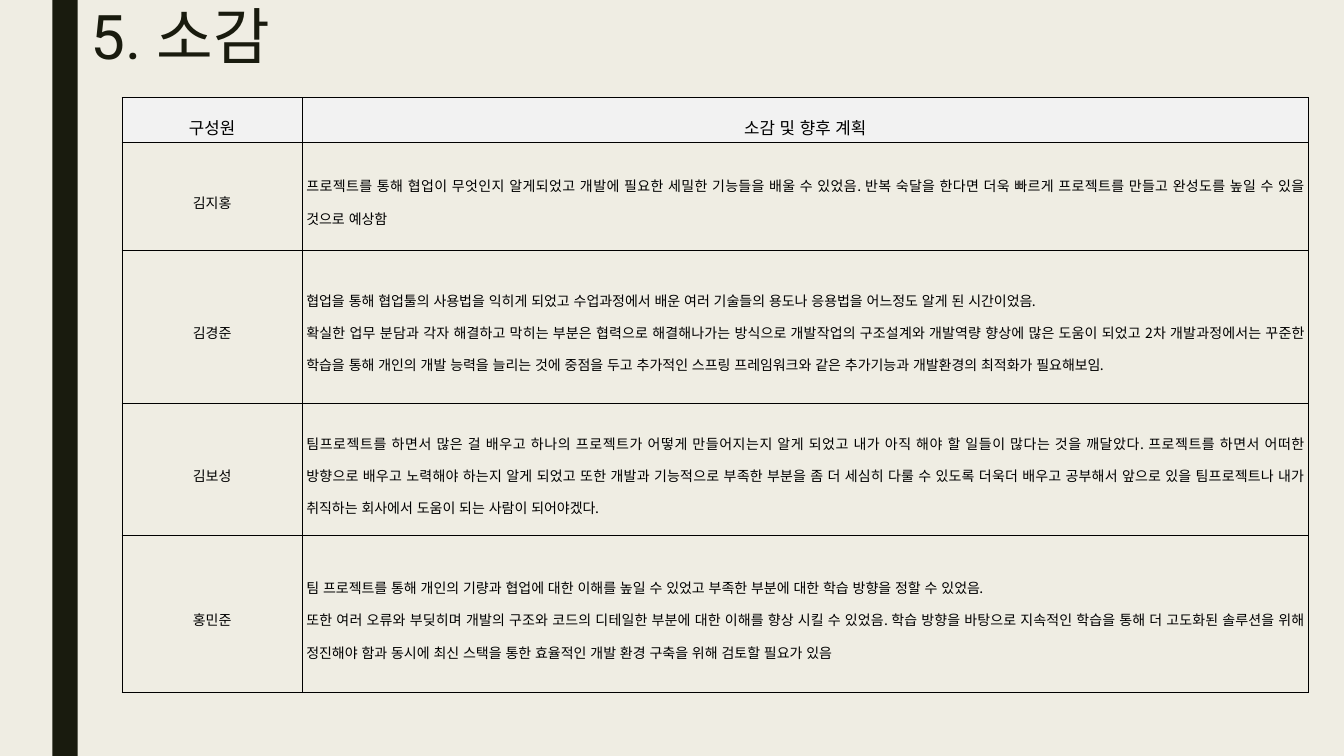
"""Build the closing slide with each team member's reflections."""
from lxml import etree
from pptx import Presentation
from pptx.dml.color import RGBColor
from pptx.enum.lang import MSO_LANGUAGE_ID
from pptx.enum.shapes import MSO_SHAPE
from pptx.enum.text import MSO_ANCHOR, PP_ALIGN
from pptx.oxml.ns import qn
from pptx.util import Cm, Pt

RECTANGLE = MSO_SHAPE.RECTANGLE
MIDDLE = MSO_ANCHOR.MIDDLE
CENTER = PP_ALIGN.CENTER
JUSTIFY = PP_ALIGN.JUSTIFY
KOREAN = MSO_LANGUAGE_ID.KOREAN
KOREAN_FONT = "Noto Sans CJK KR"
INK = "191B0E"
BORDER_WIDTH = Pt(0.28)

ROWS = [
    (1.12, "구성원", "소감 및 향후 계획"),
    (2.72, "김지홍",
     "프로젝트를 통해 협업이 무엇인지 알게되었고 개발에 필요한 세밀한 기능들을 배울 수 있었음. "
     "반복 숙달을 한다면 더욱 빠르게 프로젝트를 만들고 완성도를 높일 수 있을 것으로 예상함"),
    (3.86, "김경준",
     "협업을 통해 협업툴의 사용법을 익히게 되었고 수업과정에서 배운 여러 기술들의 용도나 "
     "응용법을 어느정도 알게 된 시간이었음. \n"
     "확실한 업무 분담과 각자 해결하고 막히는 부분은 협력으로 해결해나가는 방식으로 "
     "개발작업의 구조설계와 개발역량 향상에 많은 도움이 되었고 2차 개발과정에서는 꾸준한 "
     "학습을 통해 개인의 개발 능력을 늘리는 것에 중점을 두고 추가적인 스프링 프레임워크와 "
     "같은 추가기능과 개발환경의 최적화가 필요해보임."),
    (3.33, "김보성",
     "팀프로젝트를 하면서 많은 걸 배우고 하나의 프로젝트가 어떻게 만들어지는지 알게 되었고 "
     "내가 아직 해야 할 일들이 많다는 것을 깨달았다. 프로젝트를 하면서 어떠한 방향으로 "
     "배우고 노력해야 하는지 알게 되었고 또한 개발과 기능적으로 부족한 부분을 좀 더 세심히 "
     "다룰 수 있도록 더욱더 배우고 공부해서 앞으로 있을 팀프로젝트나 내가 취직하는 회사에서 "
     "도움이 되는 사람이 되어야겠다."),
    (3.96, "홍민준",
     "팀 프로젝트를 통해 개인의 기량과 협업에 대한 이해를 높일 수 있었고 부족한 부분에 대한 "
     "학습 방향을 정할 수 있었음.\n"
     "또한 여러 오류와 부딪히며 개발의 구조와 코드의 디테일한 부분에 대한 이해를 향상 시킬 수 "
     "있었음. 학습 방향을 바탕으로 지속적인 학습을 통해 더 고도화된 솔루션을 위해 정진해야 "
     "함과 동시에 최신 스택을 통한 효율적인 개발 환경 구축을 위해 검토할 필요가 있음"),
]
COLUMN_WIDTHS = [4.55, 25.35]


def color(value):
    """Turn a hex string into a colour."""
    return RGBColor.from_string(value)


def style_paragraph(para, size, latin, ink, spacing):
    """Set line spacing and the Latin and Korean fonts of a paragraph."""
    para.line_spacing = spacing
    for span in para.runs:
        span.font.size = Pt(size)
        span.font.name = latin
        span.font.language_id = KOREAN
        span.font.color.rgb = color(ink)
        korean = etree.Element(qn("a:ea"), typeface=KOREAN_FONT)
        span.font._element.find(qn("a:latin")).addnext(korean)


deck = Presentation()
deck.slide_width = Cm(33.87)
deck.slide_height = Cm(19.05)
page = deck.slides.add_slide(deck.slide_layouts[6])
page.background.fill.solid()
page.background.fill.fore_color.rgb = color("EFEDE3")

side_bar = page.shapes.add_shape(RECTANGLE, Cm(1.32), 0, Cm(0.64), deck.slide_height)
side_bar.shadow.inherit = False
side_bar.fill.solid()
side_bar.fill.fore_color.rgb = color(INK)
side_bar.line.fill.background()

title_box = page.shapes.add_textbox(Cm(2.03), 0, Cm(26.67), Cm(2))
title_frame = title_box.text_frame
title_frame.word_wrap = True
title_frame.vertical_anchor = MIDDLE
title_frame.text = "5. 소감"
style_paragraph(title_frame.paragraphs[0], 44, "Roboto", INK, 0.89)

table_height = sum(height for height, _, _ in ROWS)
table = page.shapes.add_table(
    len(ROWS), len(COLUMN_WIDTHS), Cm(3.07), Cm(2.46),
    Cm(sum(COLUMN_WIDTHS)), Cm(table_height)).table
table.first_row = False
table.horz_banding = False
for column, width in zip(table.columns, COLUMN_WIDTHS):
    column.width = Cm(width)

for row_index, (height, *texts) in enumerate(ROWS):
    is_header = row_index == 0
    table.rows[row_index].height = Cm(height)
    for column_index, text in enumerate(texts):
        cell = table.cell(row_index, column_index)
        cell.vertical_anchor = MIDDLE
        cell.margin_left = cell.margin_right = Cm(0.1)
        cell.margin_top = cell.margin_bottom = Cm(0.03)
        if is_header:
            cell.fill.solid()
            cell.fill.fore_color.rgb = color("F2F2F2")
        else:
            cell.fill.background()
        cell.text_frame.text = text
        for para in cell.text_frame.paragraphs:
            para.alignment = CENTER if is_header or column_index == 0 else JUSTIFY
            style_paragraph(para, 12 if is_header else 10, KOREAN_FONT, "000000", 1.6)
        properties = cell._tc.get_or_add_tcPr()
        for position, side in enumerate(["a:lnL", "a:lnR", "a:lnT", "a:lnB"]):
            border = etree.Element(qn(side), w=str(BORDER_WIDTH))
            paint = etree.SubElement(border, qn("a:solidFill"))
            etree.SubElement(paint, qn("a:srgbClr"), val="000000")
            properties.insert(position, border)

deck.save("out.pptx")
